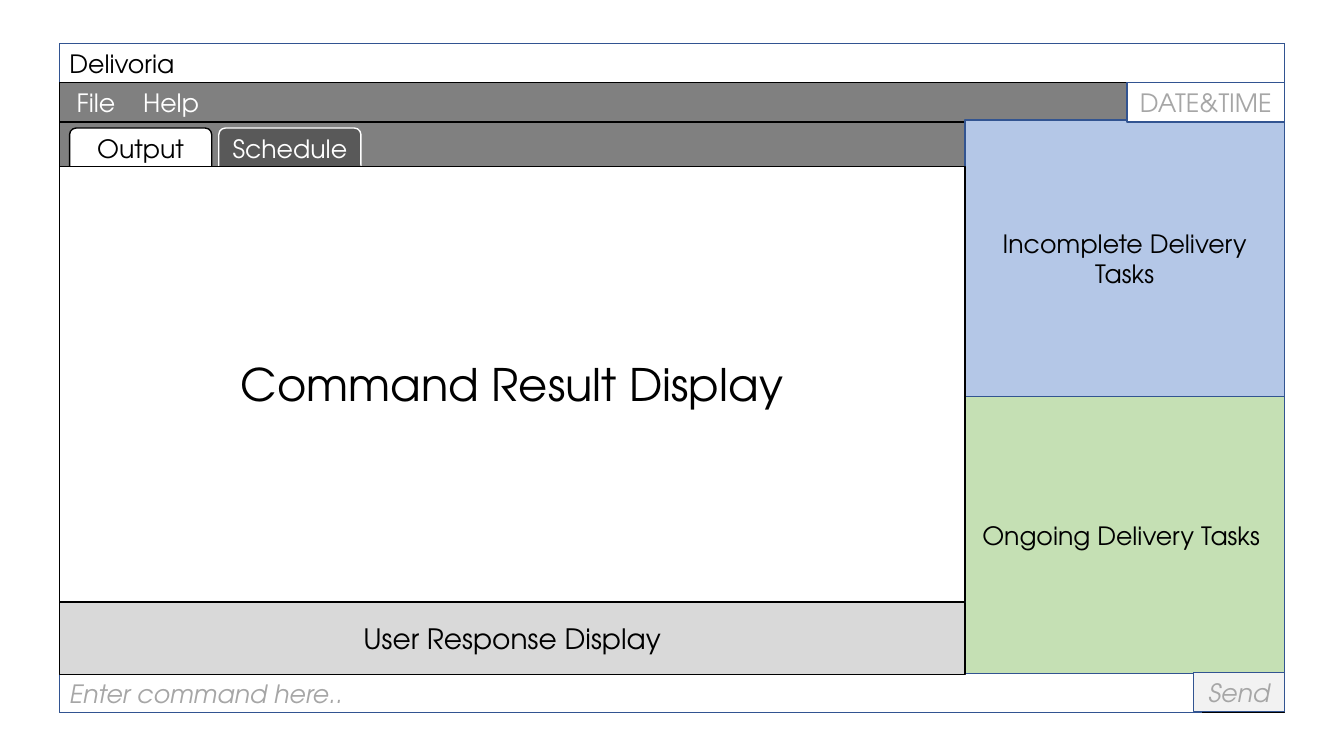
from lxml import etree
from pptx import Presentation
from pptx.dml.color import RGBColor
from pptx.enum.shapes import MSO_SHAPE
from pptx.enum.text import MSO_ANCHOR, PP_ALIGN
from pptx.oxml.ns import qn
from pptx.util import Inches, Pt

RECT = MSO_SHAPE.RECTANGLE
TAB = MSO_SHAPE.ROUND_2_SAME_RECTANGLE
LEFT_ALIGN, CENTER = PP_ALIGN.LEFT, PP_ALIGN.CENTER
MIDDLE = MSO_ANCHOR.MIDDLE

FONT = "TeX Gyre Adventor"
BLACK, WHITE, BLUE = "000000", "FFFFFF", "325491"
GRAY, HINT = "808080", "A6A6A6"

LEFT, TOP, WIDTH, HEIGHT = 0.59, 0.43, 12.15, 6.64
RIGHT, BOTTOM = LEFT + WIDTH, TOP + HEIGHT
BAR = 0.39
MENU_TOP = TOP + BAR
BODY_TOP = MENU_TOP + BAR - 0.02
BODY_BOTTOM = BOTTOM - BAR
SIDE_WIDTH = 3.17
MAIN_WIDTH = WIDTH - SIDE_WIDTH
TASKS_HEIGHT = (BODY_BOTTOM - BODY_TOP) / 2
TAB_WIDTH, TAB_STEP = 1.41, 1.48
RESULT_TOP, RESPONSE_TOP = 1.65, 5.98


def color(value):
    """Turn a hex string into a colour."""
    return RGBColor.from_string(value)


def write(panel, text, size=18, ink=BLACK, align=CENTER, italic=False):
    """Put formatted text into a panel."""
    frame = panel.text_frame
    frame.word_wrap = True
    frame.vertical_anchor = MIDDLE
    paragraph = frame.paragraphs[0]
    paragraph.alignment = align
    run = paragraph.add_run()
    run.text = text
    run.font.name = FONT
    run.font.size = Pt(size)
    run.font.italic = italic
    run.font.color.rgb = color(ink)


def add_panel(slide, box, fill, line=BLACK, outline=RECT):
    """Draw one flat panel of the window."""
    panel = slide.shapes.add_shape(outline, *(Inches(length) for length in box))
    panel.shadow.inherit = False
    panel.fill.solid()
    panel.fill.fore_color.rgb = color(fill)
    panel.line.color.rgb = color(line)
    panel.line.width = Pt(1)
    return panel


def add_menu_bar(slide):
    """Draw the menu bar with its entries on a tab stop."""
    menu = add_panel(slide, (LEFT, MENU_TOP, 10.66, BAR), GRAY)
    write(menu, "File\tHelp", ink=WHITE, align=LEFT_ALIGN)
    menu.text_frame.margin_left = Inches(0.17)
    properties = menu.text_frame.paragraphs[0]._p.get_or_add_pPr()
    stops = etree.SubElement(properties, qn("a:tabLst"))
    etree.SubElement(stops, qn("a:tab"), pos=str(Inches(0.66)), algn="l")


def add_tabs(slide):
    """Draw the row of view tabs."""
    tabs = [("Output", WHITE, BLACK), ("Schedule", "595959", WHITE)]
    for index, (label, fill, ink) in enumerate(tabs):
        box = (LEFT + 0.1 + index * TAB_STEP, RESULT_TOP - BAR + 0.01, TAB_WIDTH, BAR)
        write(add_panel(slide, box, fill, ink, TAB), label, ink=ink)


def add_task_lists(slide):
    """Stack the delivery lists in the side column."""
    lists = [("Incomplete Delivery Tasks", "B4C7E7"),
             ("Ongoing Delivery Tasks ", "C5E0B4")]
    for index, (label, fill) in enumerate(lists):
        box = (RIGHT - SIDE_WIDTH, BODY_TOP + index * TASKS_HEIGHT,
               SIDE_WIDTH, TASKS_HEIGHT)
        write(add_panel(slide, box, fill, BLUE), label)


def main():
    """Build the window mock-up and save it."""
    deck = Presentation()
    deck.slide_width, deck.slide_height = Inches(13.33), Inches(7.5)
    slide = deck.slides.add_slide(deck.slide_layouts[6])

    add_panel(slide, (LEFT, TOP, WIDTH, HEIGHT), GRAY)
    title = add_panel(slide, (LEFT, TOP, WIDTH, BAR), WHITE, BLUE)
    write(title, "Delivoria", align=LEFT_ALIGN)
    command = add_panel(slide, (LEFT, BODY_BOTTOM, 11.33, BAR), WHITE, BLUE)
    write(command, "Enter command here..", ink=HINT, align=LEFT_ALIGN, italic=True)
    add_menu_bar(slide)
    add_task_lists(slide)

    clock = add_panel(slide, (RIGHT - 1.56, MENU_TOP, 1.56, BAR), WHITE, BLUE)
    write(clock, "DATE&TIME", ink=HINT)
    send = add_panel(slide, (RIGHT - 0.9, BODY_BOTTOM - 0.01, 0.9, BAR), "F2F2F2", BLUE)
    write(send, "Send", ink=HINT, italic=True)
    add_tabs(slide)

    response = add_panel(slide, (LEFT, RESPONSE_TOP, MAIN_WIDTH, 0.71), "D9D9D9")
    write(response, "User Response Display", size=20)
    result = add_panel(slide, (LEFT, RESULT_TOP, MAIN_WIDTH, 4.32), WHITE)
    write(result, "Command Result Display", size=32)

    deck.save("out.pptx")


if __name__ == "__main__":
    main()
